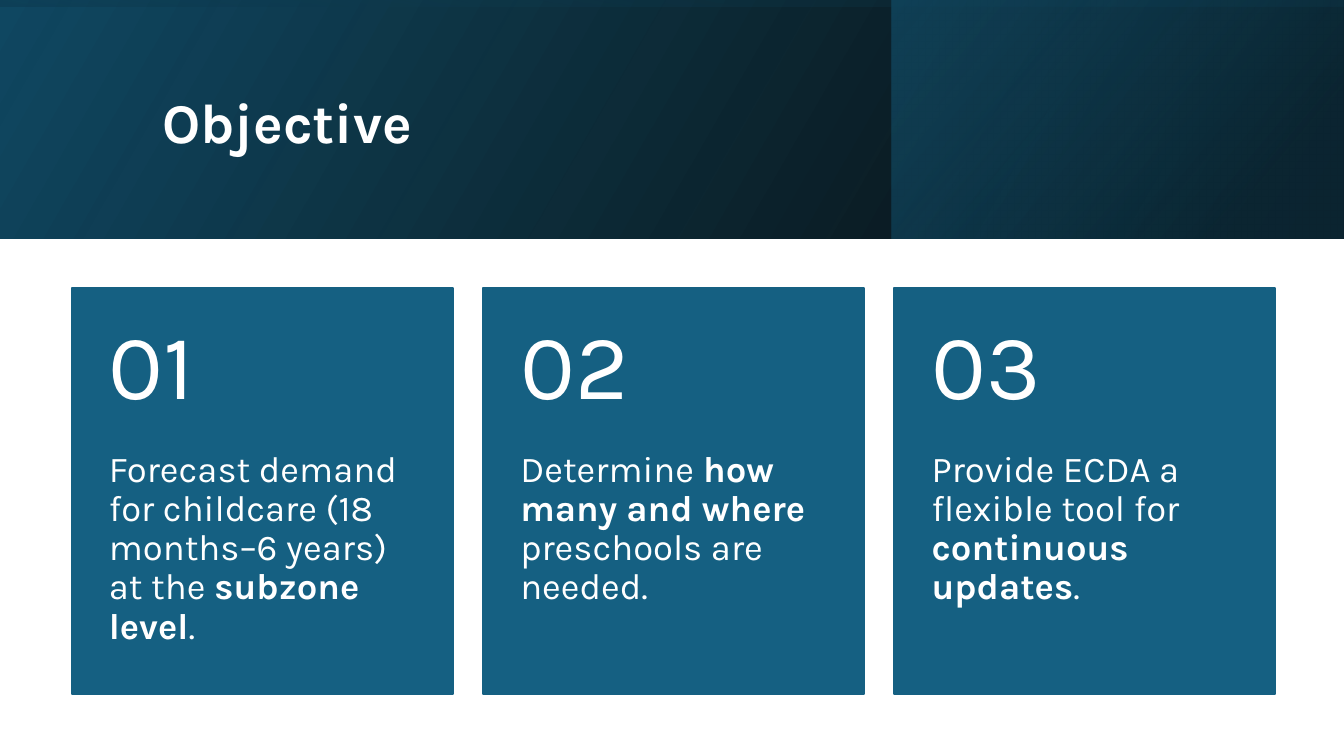
"""Build the Objective slide: a gradient banner above three numbered cards."""
from pptx import Presentation
from pptx.dml.color import RGBColor
from pptx.enum.shapes import MSO_SHAPE as Shape
from pptx.enum.text import MSO_ANCHOR as Anchor
from pptx.oxml.ns import qn
from pptx.util import Inches, Pt
from lxml.etree import SubElement

WHITE = RGBColor(0xFF, 0xFF, 0xFF)
BLACK = RGBColor(0x00, 0x00, 0x00)
BLUE = RGBColor(0x15, 0x60, 0x82)
DEEP_BLUE = RGBColor(0x10, 0x48, 0x62)
NAVY = RGBColor(0x0B, 0x30, 0x41)

SLIDE_W, BANNER_H = 13.33, 2.37
CARD_LEFT, CARD_TOP, CARD_W, CARD_H = 0.71, 2.86, 3.78, 4.03
CARD_STEP, NUMBER_H = 4.08, 1.61

OBJECTIVES = [
    [("Forecast demand for childcare (18 months–6 years) at the ", False),
     ("subzone level", True), (".", False)],
    [("Determine ", False), ("how many and where", True),
     (" preschools are needed.", False)],
    [("Provide ECDA a flexible tool for ", False),
     ("continuous updates", True), (".", False)],
]


class Deck:
    """Hold the text style and the current slide."""

    def __init__(self, slide, font="Karla", color=WHITE):
        self.shapes = slide.shapes
        self.font = font
        self.color = color

    def rectangle(self, left, top, width, height):
        """Add a rectangle without a shadow."""
        rect = self.shapes.add_shape(Shape.RECTANGLE, Inches(left), Inches(top),
                                     Inches(width), Inches(height))
        rect.shadow.inherit = False
        return rect

    def gradient(self, left, top, width, height, angle, stops, rotation=0):
        """Add a mirrored gradient panel; stops are (position, colour, opacity) in percent."""
        panel = self.rectangle(left, top, width, height)
        panel.line.fill.background()
        panel.rotation = rotation
        panel.fill.gradient()
        panel.fill.gradient_angle = 360 - angle
        for stop, (position, color, _) in zip(panel.fill.gradient_stops, stops):
            stop.position = position / 100
            stop.color.rgb = color
        properties = panel._element.spPr
        properties.find(qn("a:xfrm")).set("flipH", "1")
        for tint, (_, _, opacity) in zip(properties.iter(qn("a:srgbClr")), stops):
            SubElement(tint, qn("a:alpha")).set("val", str(opacity * 1000))

    def text(self, runs, left, top, width, height, *, size,
             insets=(0.1, 0.05, 0.1, 0.05), anchor=Anchor.TOP):
        """Add a wrapped text box from (wording, bold) runs."""
        frame = self.shapes.add_textbox(Inches(left), Inches(top), Inches(width),
                                        Inches(height)).text_frame
        frame.word_wrap = True
        frame.vertical_anchor = anchor
        (frame.margin_left, frame.margin_top,
         frame.margin_right, frame.margin_bottom) = map(Inches, insets)
        paragraph = frame.paragraphs[0]
        paragraph.line_spacing = 0.9
        for wording, bold in runs:
            run = paragraph.add_run()
            run.text = wording
            run.font.name = self.font
            run.font.size = Pt(size)
            run.font.bold = bold
            run.font.color.rgb = self.color

    def card(self, number, objective, left):
        """Add a card with its number above its objective."""
        panel = self.rectangle(left, CARD_TOP, CARD_W, CARD_H)
        panel.fill.solid()
        panel.fill.fore_color.rgb = BLUE
        panel.line.color.rgb = BLUE
        panel.line.width = Pt(1.5)
        self.text(objective, left, CARD_TOP + NUMBER_H, CARD_W, CARD_H - NUMBER_H,
                  size=26, insets=(0.37, 0, 0.37, 0.36))
        self.text([(f"{number:02}", False)], left, CARD_TOP, CARD_W, NUMBER_H,
                  size=66, insets=(0.37, 0.18, 0.37, 0.18), anchor=Anchor.MIDDLE)


def main():
    """Compose and save the slide."""
    presentation = Presentation()
    presentation.slide_width = Inches(SLIDE_W)
    presentation.slide_height = Inches(7.5)
    deck = Deck(presentation.slides.add_slide(presentation.slide_layouts[6]))

    deck.gradient(0, 0, SLIDE_W, BANNER_H, 330,
                  [(0, BLACK, 96), (100, DEEP_BLUE, 100)])
    deck.gradient(8.84, 0, 4.48, BANNER_H, 320,
                  [(19, NAVY, 68), (100, BLUE, 48)])
    deck.gradient((SLIDE_W - BANNER_H) / 2, (BANNER_H - SLIDE_W) / 2, BANNER_H, SLIDE_W, 350,
                  [(23, DEEP_BLUE, 16), (99, BLACK, 45)], rotation=270)
    deck.text([("Objective", True)], 1.51, 0.38, 10.63, 1.72,
              size=40, anchor=Anchor.MIDDLE)

    for index, objective in enumerate(OBJECTIVES):
        deck.card(index + 1, objective, CARD_LEFT + index * CARD_STEP)

    presentation.save("out.pptx")


if __name__ == "__main__":
    main()
